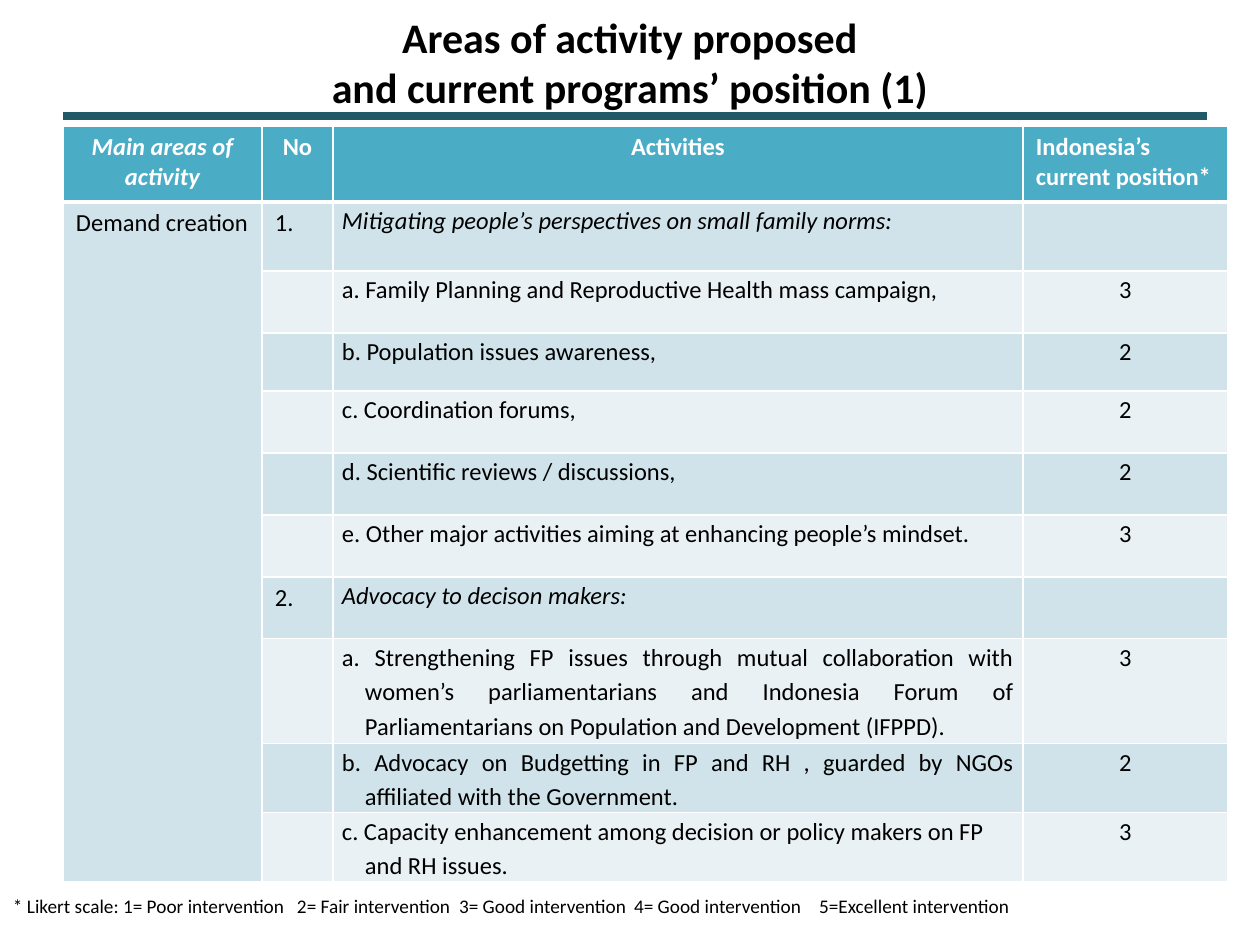
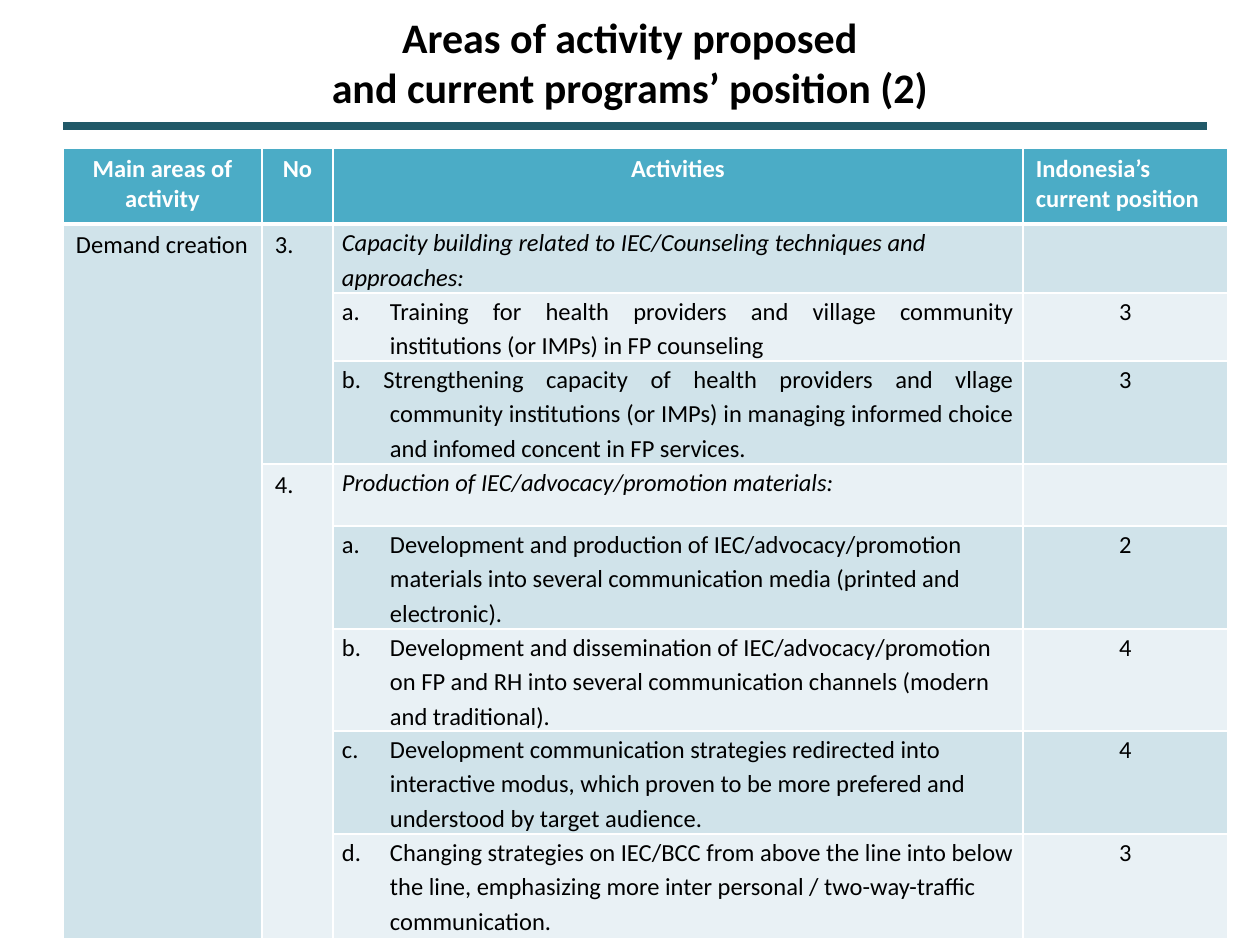
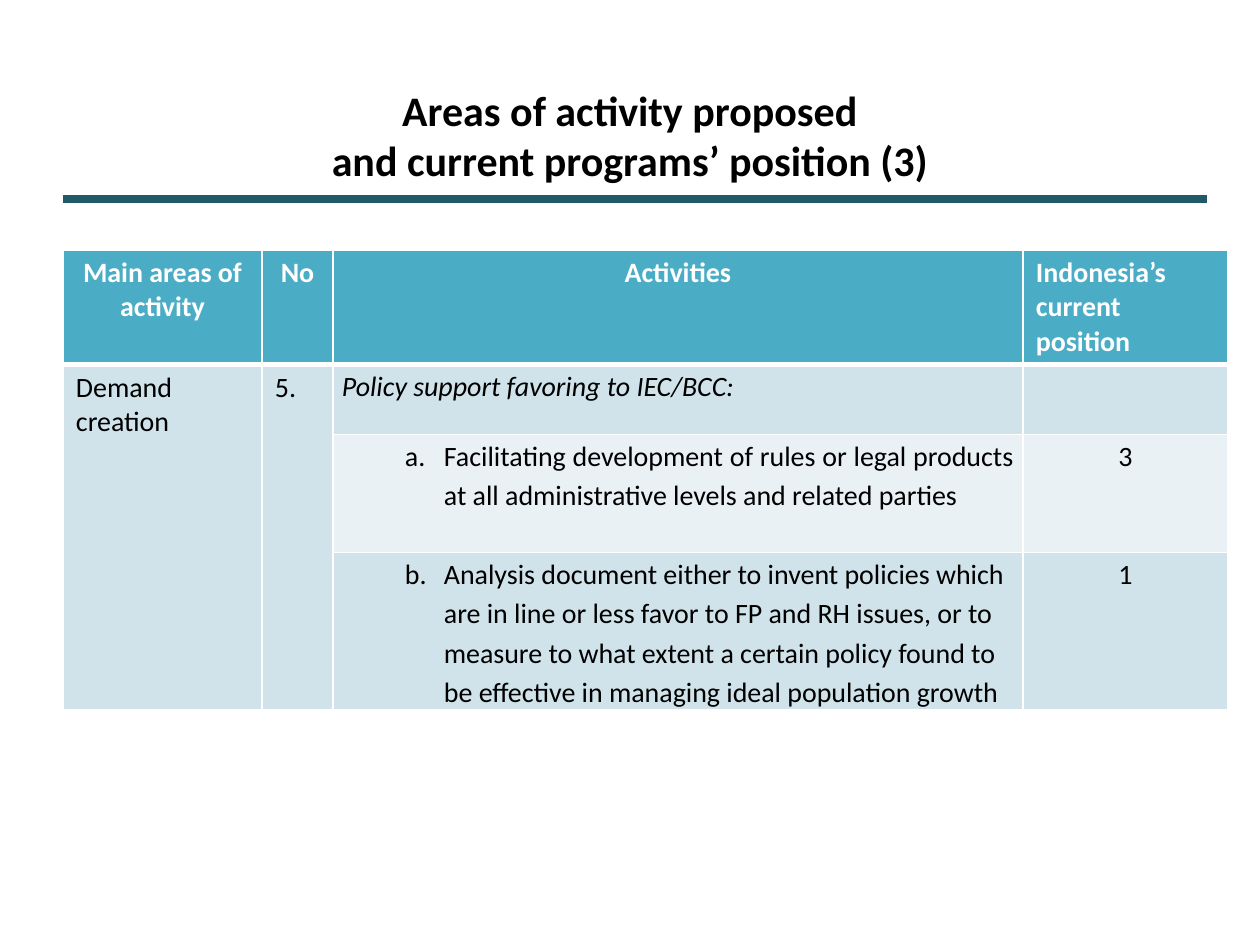
from dataclasses import dataclass

from lxml import etree
from pptx import Presentation
from pptx import util as u
from pptx.dml.color import RGBColor
from pptx.enum import shapes, text
from pptx.oxml.ns import qn

PX = 914400 / 126
COLORS = {"ink": "000000", "white": "FFFFFF", "rule": "215968",
          "header": "4BACC6", "band": "D0E3EA", "light": "E9F1F5"}
FONT = "Calibri"
LEFT = 63
COLUMNS = [199, 71, 690, 205]
CELL_INSETS = (13, 6, 13, 6)
TIGHT_INSETS = (9, 0, 9, 0)
ALIGN = {"left": text.PP_ALIGN.LEFT, "center": text.PP_ALIGN.CENTER,
         "justify": text.PP_ALIGN.JUSTIFY}


def px(length):
    return u.Emu(round(length * PX))


def rgb(name):
    return RGBColor.from_string(COLORS[name])


def write(frame, words, size=14, color="ink", bold=False, italic=False, align="left",
          spacing=None, margin=0, hang=0, lettered=False, tabs=()):
    """Fill the first paragraph; hang is the hanging indent, lettered adds automatic 'a.'."""
    paragraph = frame.paragraphs[0]
    paragraph.text = words
    paragraph.alignment = ALIGN[align]
    if spacing:
        paragraph.line_spacing = spacing
    for run in paragraph.runs:
        font = run.font
        font.name, font.size, font.bold, font.italic = FONT, u.Pt(size), bold, italic
        font.color.rgb = rgb(color)
    properties = paragraph._p.get_or_add_pPr()
    if margin:
        properties.set("marL", str(px(margin)))
        properties.set("indent", str(px(-hang)))
    if lettered:
        etree.SubElement(properties, qn("a:buFont"), typeface="+mj-lt")
        etree.SubElement(properties, qn("a:buAutoNum"), type="alphaLcPeriod")
    if tabs:
        stops = etree.SubElement(properties, qn("a:tabLst"))
        for stop in tabs:
            etree.SubElement(stops, qn("a:tab"), pos=str(px(stop)), algn="l")


def set_insets(target, insets):
    (target.margin_left, target.margin_top,
     target.margin_right, target.margin_bottom) = map(px, insets)


@dataclass
class Activity:
    """A table row; one with a number is the heading of a group."""
    height: int
    words: str
    score: str = ""
    number: str = ""
    margin: int = 0
    hang: int = 0
    align: str = "left"
    lettered: bool = False


class Deck:
    def __init__(self):
        self.presentation = Presentation()
        self.presentation.slide_width = u.Inches(10)
        self.presentation.slide_height = u.Inches(7.5)
        self.slide = None

    def start_slide(self):
        self.slide = self.presentation.slides.add_slide(self.presentation.slide_layouts[6])

    def textbox(self, left, top, width, height, words, insets=CELL_INSETS,
                anchor=text.MSO_ANCHOR.TOP, **style):
        frame = self.slide.shapes.add_textbox(*map(px, (left, top, width, height))).text_frame
        frame.word_wrap = True
        frame.vertical_anchor = anchor
        set_insets(frame, insets)
        write(frame, words, **style)

    def title(self, part, top):
        self.textbox(LEFT, top, 1134, 98,
                     f"Areas of activity proposed\vand current programs’ position ({part})",
                     insets=(13, 6, 13, 57), anchor=text.MSO_ANCHOR.MIDDLE,
                     size=24, bold=True, align="center")

    def rule(self, y):
        line = self.slide.shapes.add_connector(
            shapes.MSO_CONNECTOR.STRAIGHT, *map(px, (LEFT, y, 1207, y)))
        line.line.color.rgb = rgb("rule")
        line.line.width = u.Pt(4.5)
        etree.SubElement(line._element.spPr, qn("a:effectLst"))

    def cell(self, cell, fill, words="", insets=CELL_INSETS, thick="", **style):
        """Format one cell; thick names the side (T or B) with the heavy border."""
        properties = cell._tc.get_or_add_tcPr()
        for side in "LRTB":
            width = u.Pt(3 if side == thick else 1)
            border = etree.SubElement(properties, qn(f"a:ln{side}"), w=str(width))
            solid = etree.SubElement(border, qn("a:solidFill"))
            etree.SubElement(solid, qn("a:srgbClr"), val=COLORS["white"])
        cell.fill.solid()
        cell.fill.fore_color.rgb = rgb(fill)
        set_insets(cell, insets)
        if words:
            write(cell.text_frame, words, **style)

    def activity_table(self, top, header_height, activities, size=14, mark="",
                       italic_area=False, merge_numbers=True):
        heights = [header_height] + [activity.height for activity in activities]
        table = self.slide.shapes.add_table(
            len(heights), len(COLUMNS),
            *map(px, (LEFT, top, sum(COLUMNS), sum(heights)))).table
        table.first_row = table.horz_banding = False
        for column, width in zip(table.columns, COLUMNS):
            column.width = px(width)
        for row, height in zip(table.rows, heights):
            row.height = px(height)

        headings = ["Main areas of activity", "No", "Activities",
                    "Indonesia’s current position" + mark]
        for index, heading in enumerate(headings):
            self.cell(table.cell(0, index), "header", heading, thick="B", size=size,
                      color="white", bold=True, italic=italic_area and index == 0,
                      align="left" if index == 3 else "center")

        for row, item in enumerate(activities, 1):
            fill = "band" if row % 2 else "light"
            shared = {"thick": "T" if row == 1 else "", "size": size}
            tight = {"insets": TIGHT_INSETS, "spacing": 1.15, **shared}
            area = "Demand creation" if row == 1 else ""
            self.cell(table.cell(row, 0), "band", area, **shared)
            self.cell(table.cell(row, 1), fill, item.number, **shared)
            self.cell(table.cell(row, 2), fill, item.words, italic=bool(item.number),
                      align=item.align, margin=item.margin, hang=item.hang,
                      lettered=item.lettered, **tight)
            self.cell(table.cell(row, 3), fill, item.score, align="center", **tight)

        last = len(activities)
        table.cell(1, 0).merge(table.cell(last, 0))
        if merge_numbers:
            starts = [row for row, item in enumerate(activities, 1) if item.number]
            for start, following in zip(starts, starts[1:] + [last + 1]):
                table.cell(start, 1).merge(table.cell(following - 1, 1))


WIDE = {"margin": 48, "hang": 48}
NARROW = {"margin": 23, "hang": 23}
NESTED = {"margin": 102, "hang": 39}
JUSTIFY = {"align": "justify"}

PERSPECTIVES_AND_ADVOCACY = [
    Activity(69, "Mitigating people’s perspectives on small family norms:", number="1.", **JUSTIFY),
    Activity(62, "a. Family Planning and Reproductive Health mass campaign,", "3", **WIDE, **JUSTIFY),
    Activity(58, "b. Population issues awareness,", "2", **WIDE, **JUSTIFY),
    Activity(62, "c. Coordination forums,", "2", **WIDE, **JUSTIFY),
    Activity(62, "d. Scientific reviews / discussions,", "2", **WIDE, **JUSTIFY),
    Activity(62, "e. Other major activities aiming at enhancing people’s mindset.", "3",
             **WIDE, **JUSTIFY),
    Activity(62, "Advocacy to decison makers:", number="2.", **JUSTIFY),
    Activity(105, "a. Strengthening FP issues through mutual collaboration with women’s "
             "parliamentarians and Indonesia Forum of Parliamentarians on Population and "
             "Development (IFPPD).", "3", **NARROW, **JUSTIFY),
    Activity(69, "b. Advocacy on Budgetting in FP and RH , guarded by NGOs affiliated with "
             "the Government.", "2", **NARROW, **JUSTIFY),
    Activity(69, "c. Capacity enhancement among decision or policy makers on FP and RH issues.",
             "3", **NARROW),
]
CAPACITY_AND_MATERIALS = [
    Activity(69, "Capacity building related to IEC/Counseling techniques and approaches:",
             number="3."),
    Activity(68, "Training for health providers and village community institutions (or IMPs) "
             "in FP counseling", "3", lettered=True, **WIDE, **JUSTIFY),
    Activity(103, "b. Strengthening capacity of health providers and vllage community "
             "institutions (or IMPs) in managing informed choice and infomed concent in FP "
             "services.", "3", **WIDE, **JUSTIFY),
    Activity(62, "Production of IEC/advocacy/promotion materials:", number="4."),
    Activity(103, "Development and production of IEC/advocacy/promotion materials into several "
             "communication media (printed and electronic).", "2", lettered=True, **WIDE),
    Activity(102, "b.\tDevelopment and dissemination of IEC/advocacy/promotion on FP and RH into "
             "several communication channels (modern and traditional).", "4", **WIDE),
    Activity(103, "c.\tDevelopment communication strategies redirected into interactive modus, "
             "which proven to be more prefered and understood by target audience.", "4", **WIDE),
    Activity(105, "d.\tChanging strategies on IEC/BCC from above the line into below the line, "
             "emphasizing more inter personal / two-way-traffic communication.", "3", **WIDE),
]
POLICY_SUPPORT = [
    Activity(70, "Policy support favoring to IEC/BCC:", number="5."),
    Activity(118, "Facilitating development of rules or legal products at all administrative "
             "levels and related parties", "3", lettered=True, **NESTED, **JUSTIFY),
    Activity(157, "b.\tAnalysis document either to invent policies which are in line or less "
             "favor to FP and RH issues, or to measure to what extent a certain policy found to "
             "be effective in managing ideal population growth", "1", **NESTED),
]
LIKERT_SCALE = ["* Likert scale: 1= Poor intervention", "2= Fair intervention",
                "3= Good intervention", "4= Good intervention", "5=Excellent intervention"]


def main():
    deck = Deck()

    deck.start_slide()
    deck.title(1, 38)
    deck.rule(116)
    deck.activity_table(126, 76, PERSPECTIVES_AND_ADVOCACY, mark="*",
                        italic_area=True, merge_numbers=False)
    deck.textbox(0, 888, 1239, 37, "\t".join(LIKERT_SCALE), size=11,
                 tabs=(284, 446, 621, 806))

    deck.start_slide()
    deck.title(2, 38)
    deck.rule(126)
    deck.activity_table(148, 76, CAPACITY_AND_MATERIALS)

    deck.start_slide()
    deck.activity_table(250, 114, POLICY_SUPPORT, size=16)
    deck.title(3, 111)
    deck.rule(199)

    deck.presentation.save("out.pptx")


if __name__ == "__main__":
    main()
